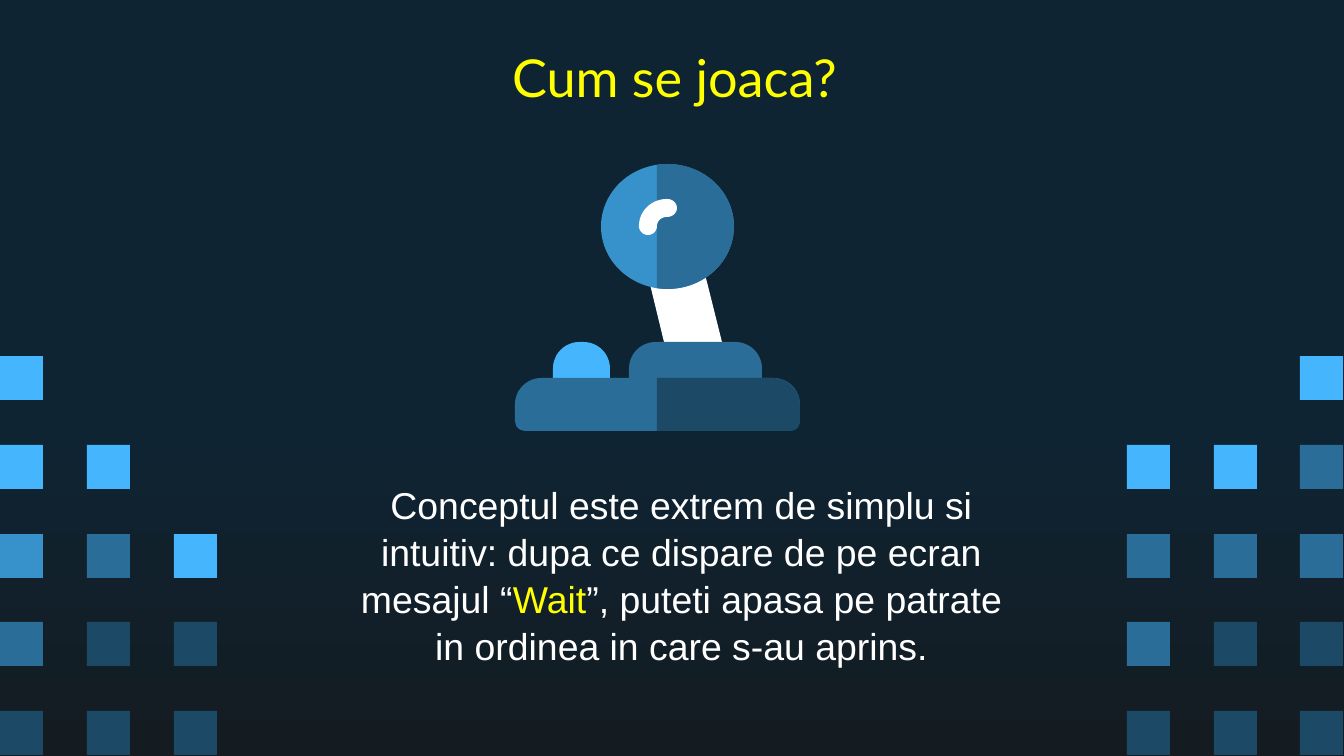
from dataclasses import dataclass
from math import acos, cos, degrees, radians, sin

from pptx import Presentation
from pptx.dml.color import RGBColor
from pptx.enum.shapes import MSO_SHAPE
from pptx.enum.text import MSO_ANCHOR, PP_ALIGN
from pptx.shapes.base import BaseShape
from pptx.shapes.group import GroupShape
from pptx.slide import Slide
from pptx.util import Emu, Pt

PX = 12192000 / 1344
WIDTH, HEIGHT = 1344, 756

NAVY = RGBColor(0x0E, 0x24, 0x33)
BLACK_BLUE = RGBColor(0x14, 0x1C, 0x21)
SKY = RGBColor(0x45, 0xB6, 0xFE)
AZURE = RGBColor(0x37, 0x92, 0xCB)
STEEL = RGBColor(0x29, 0x6D, 0x98)
DEEP = RGBColor(0x1C, 0x49, 0x66)
WHITE = RGBColor(0xFF, 0xFF, 0xFF)
YELLOW = RGBColor(0xFF, 0xFF, 0x00)

TILE_COLORS = {"L": SKY, "A": AZURE, "M": STEEL, "D": DEEP}
TILE_W, TILE_H = 43, 44
TILE_TOP = 356
COL_STEP, ROW_STEP = 86.75, 88.75

Point = tuple[float, float]


@dataclass(frozen=True)
class TileGrid:
    left: int
    rows: tuple[str, ...]


@dataclass(frozen=True)
class Box:
    x: int
    y: int
    w: int
    h: int


@dataclass(frozen=True)
class Run:
    text: str
    color: RGBColor


@dataclass(frozen=True)
class TextBlock:
    box: Box
    font: str
    size: float
    spacing: float
    anchor: MSO_ANCHOR
    runs: tuple[Run, ...]


@dataclass(frozen=True)
class RoundedPart:
    box: Box
    color: RGBColor
    top: float
    bottom: float


GRIDS = (
    TileGrid(0, ("L  ", "LL ", "AML", "MDD", "DDD")),
    TileGrid(1127, ("  L", "LLM", "MMM", "MDD", "DDD")),
)

TEXTS = (
    TextBlock(Box(111, 25, 1127, 103), "Lato", 37.3, 1.0, MSO_ANCHOR.MIDDLE,
              (Run("Cum se joaca?", YELLOW),)),
    TextBlock(Box(333, 467, 698, 267), "Arial", 26.7, 1.05, MSO_ANCHOR.TOP, (
        Run("Conceptul este extrem de simplu si intuitiv: dupa ce dispare "
            "de pe ecran mesajul “", WHITE),
        Run("Wait", YELLOW),
        Run("”, puteti apasa pe patrate in ordinea in care s-au aprins.", WHITE),
    )),
)

BALL = Box(601, 164, 133, 125)
SPLIT_X = 657
BASE_PARTS = (
    RoundedPart(Box(629, 342, 133, 53), STEEL, 0.5, 0.19),
    RoundedPart(Box(553, 342, 57, 53), SKY, 0.5, 0.19),
    RoundedPart(Box(515, 378, 285, 53), STEEL, 0.5, 0.19),
)


def px(n: float) -> Emu:
    return Emu(round(n * PX))


def paint(sp: BaseShape, color: RGBColor) -> None:
    sp.shadow.inherit = False
    sp.fill.solid()
    sp.fill.fore_color.rgb = color
    sp.line.fill.background()


def add_preset(parent: Slide | GroupShape, kind: MSO_SHAPE, box: Box,
               color: RGBColor) -> BaseShape:
    sp = parent.shapes.add_shape(kind, px(box.x), px(box.y), px(box.w), px(box.h))
    paint(sp, color)
    return sp


def add_outline(parent: GroupShape, points: list[Point], color: RGBColor) -> None:
    first, *rest = [(px(x), px(y)) for x, y in points]
    builder = parent.shapes.build_freeform(*first, scale=1.0)
    builder.add_line_segments(rest, close=True)
    paint(builder.convert_to_shape(), color)


def arc(cx: float, cy: float, rx: float, ry: float,
        start: float, end: float, steps: int = 24) -> list[Point]:
    angles = [radians(start + (end - start) * i / steps) for i in range(steps + 1)]
    return [(cx + rx * cos(a), cy + ry * sin(a)) for a in angles]


def add_tiles(s: Slide, grid: TileGrid) -> None:
    for row, codes in enumerate(grid.rows):
        for col, code in enumerate(codes):
            if code in TILE_COLORS:
                box = Box(round(grid.left + col * COL_STEP),
                          round(TILE_TOP + row * ROW_STEP), TILE_W, TILE_H)
                add_preset(s, MSO_SHAPE.RECTANGLE, box, TILE_COLORS[code])


def add_joystick(s: Slide) -> None:
    joystick = s.shapes.add_group_shape()
    add_outline(joystick, [(649, 280), (703, 266), (724, 350), (666, 350)], WHITE)

    add_preset(joystick, MSO_SHAPE.OVAL, BALL, AZURE)
    rx, ry = BALL.w / 2, BALL.h / 2
    cx, cy = BALL.x + rx, BALL.y + ry
    edge = degrees(acos((SPLIT_X - cx) / rx))
    add_outline(joystick, arc(cx, cy, rx, ry, -edge, edge, 60), STEEL)

    shine = (arc(667, 226, 28, 27, 180, 270) + arc(667, 208, 10, 9, 270, 450)
             + arc(667, 226, 10, 9, 270, 180) + arc(648, 226, 9, 9, 0, 180))
    add_outline(joystick, shine, WHITE)

    for part in BASE_PARTS:
        sp = add_preset(joystick, MSO_SHAPE.ROUND_2_SAME_RECTANGLE, part.box, part.color)
        sp.adjustments[0] = part.top
        sp.adjustments[1] = part.bottom

    shade = ([(SPLIT_X, 378)] + arc(772, 405, 28, 27, 270, 360)
             + arc(790, 421, 10, 10, 0, 90) + [(SPLIT_X, 431)])
    add_outline(joystick, shade, DEEP)


def add_text(s: Slide, block: TextBlock) -> None:
    b = block.box
    tf = s.shapes.add_textbox(px(b.x), px(b.y), px(b.w), px(b.h)).text_frame
    tf.word_wrap = True
    tf.vertical_anchor = block.anchor
    tf.margin_left = tf.margin_right = tf.margin_top = tf.margin_bottom = px(13)
    p = tf.paragraphs[0]
    p.alignment = PP_ALIGN.CENTER
    p.line_spacing = block.spacing
    p.font.name = block.font
    p.font.size = Pt(block.size)
    for run in block.runs:
        r = p.add_run()
        r.text = run.text
        r.font.color.rgb = run.color


def set_background(s: Slide) -> None:
    fill = s.background.fill
    fill.gradient()
    fill.gradient_angle = 270
    for stop, position, color in zip(fill.gradient_stops, (0.56, 1.0), (NAVY, BLACK_BLUE)):
        stop.position = position
        stop.color.rgb = color


def main() -> None:
    prs = Presentation()
    prs.slide_width, prs.slide_height = px(WIDTH), px(HEIGHT)
    s = prs.slides.add_slide(prs.slide_layouts[6])
    set_background(s)
    for grid in GRIDS:
        add_tiles(s, grid)
    for block in TEXTS:
        add_text(s, block)
    add_joystick(s)
    prs.save("out.pptx")


if __name__ == "__main__":
    main()
